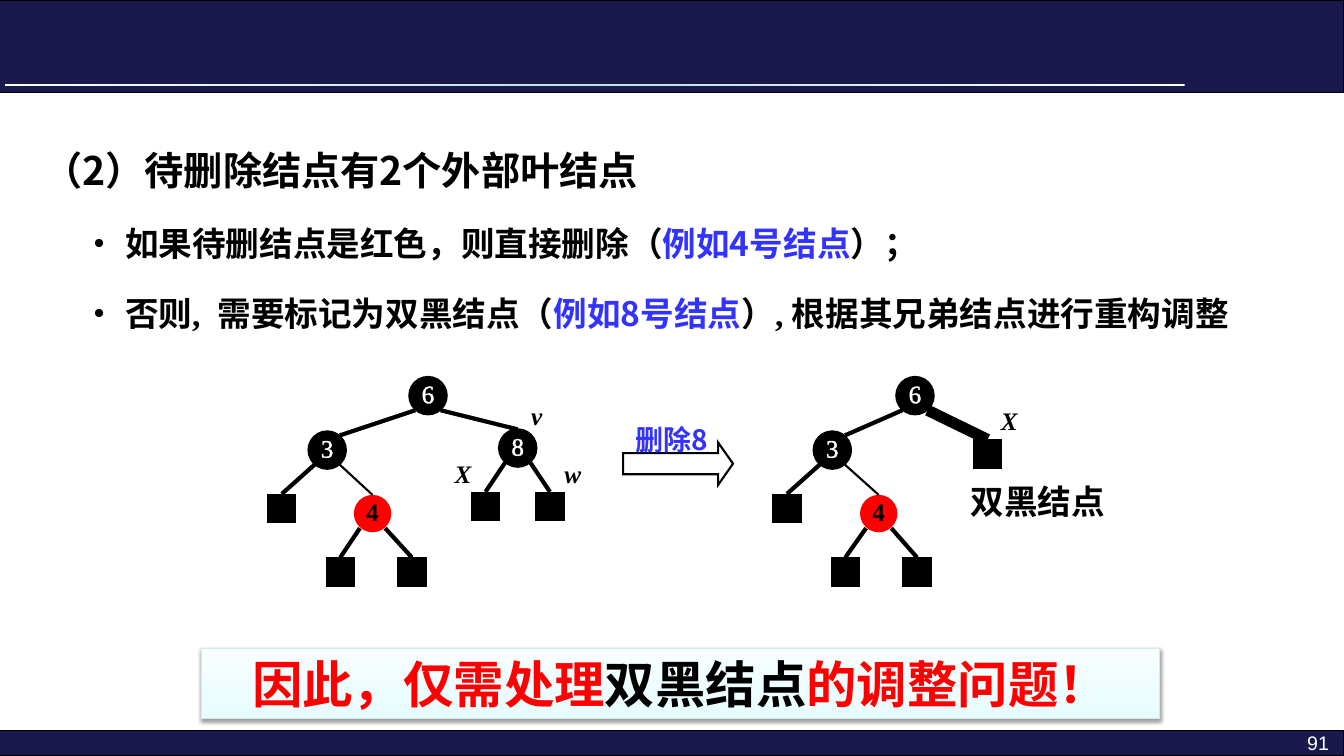
"""Build the slide on deleting a red-black tree node with two external leaves."""
from lxml.etree import SubElement
from pptx import Presentation
from pptx.dml.color import RGBColor
from pptx.enum.shapes import MSO_CONNECTOR, MSO_SHAPE
from pptx.enum.text import MSO_ANCHOR, MSO_AUTO_SIZE, PP_ALIGN
from pptx.oxml import parse_xml
from pptx.oxml.ns import nsdecls, qn
from pptx.util import Inches, Pt

NAVY = RGBColor(0x19, 0x19, 0x4D)
BLACK = RGBColor(0, 0, 0)
WHITE = RGBColor(255, 255, 255)
RED = RGBColor(255, 0, 0)
BLUE = RGBColor(0x33, 0x33, 0xFF)
PALE = RGBColor(0xD5, 0xE8, 0xEA)
RULE_STOPS = [(0, "FFFFFF"), (50, "BBE0E3"), (100, "FFFFFF")]
BANNER_STOPS = [(0, "E6FDFF"), (35, "ECFDFF"), (100, "F8FEFF")]
SANS, SERIF, ARIAL = "Noto Sans CJK SC", "Times New Roman", "Arial"

HEADING = "（2）待删除结点有2个外部叶结点"
BULLETS = [
    [("如果待删结点是红色，则直接删除（", BLACK), ("例如4号结点", BLUE), ("）；", BLACK)],
    [("否则,", BLACK), (" ", BLACK), ("需要标记为双黑结点（", BLACK), ("例如8号结点", BLUE),
     ("）, 根据其兄弟结点进行重构调整", BLACK)],
]
BANNER = [("因此，仅需处理", RED), ("双黑结点", BLACK), ("的调整问题！", RED)]

NODE, LEAF = 0.35, 0.25
LEFT_NODES = {"6": (4.07, 3.75), "3": (3.07, 4.29), "4": (3.52, 4.92), "8": (4.96, 4.27)}
RIGHT_NODES = {"6": (8.9, 3.75), "3": (8.08, 4.29), "4": (8.54, 4.92)}
LEFT_LEAVES = {"3L": (2.67, 4.92), "4L": (3.25, 5.55), "4R": (3.96, 5.55),
               "8L": (4.69, 4.9), "8R": (5.33, 4.9)}
RIGHT_LEAVES = {"3L": (7.68, 4.92), "4L": (8.26, 5.55), "4R": (8.97, 5.55),
                "6R": (9.67, 4.38)}
SHARED_EDGES = [("6", "L", "3", 3), ("3", "L", "3L", 3), ("3", "R", "4", 1.5),
                ("4", "L", "4L", 3), ("4", "R", "4R", 3)]
LEFT_EDGES = [("6", "R", "8", 3), ("8", "L", "8L", 3), ("8", "R", "8R", 3)]
RIGHT_EDGES = [("6", "R", "6R", 8)]
LEFT_MARKS = [("v", 5.17, 3.92, 0.34), ("X", 4.41, 4.5, 0.34), ("w", 5.5, 4.5, 0.42)]
RIGHT_MARKS = [("X", 9.83, 3.97, 0.5)]


def add_run(p, text, size, font, color, bold=False, italic=False, outline=None):
    r = p.add_run()
    r.text = text
    f = r.font
    f.size, f.name, f.bold, f.italic = Pt(size), font, bold, italic
    f.color.rgb = color
    rPr = r._r.get_or_add_rPr()
    SubElement(rPr, qn("a:ea")).set("typeface", SANS)
    if outline:
        rPr.insert(0, parse_xml(
            f'<a:ln {nsdecls("a")} w="{Pt(outline)}"><a:solidFill>'
            f'<a:srgbClr val="{color}"/></a:solidFill></a:ln>'))
    return rPr


def add_box(shapes, kind, x, y, w, h, fill, line, width):
    sp = shapes.add_shape(kind, Inches(x), Inches(y), Inches(w), Inches(h))
    sp.shadow.inherit = False
    if fill is None:
        sp.fill.background()
    elif isinstance(fill, RGBColor):
        sp.fill.solid()
        sp.fill.fore_color.rgb = fill
    if line is None:
        sp.line.fill.background()
    else:
        sp.line.color.rgb = line
        sp.line.width = Pt(width)
        SubElement(sp._element.spPr.find(qn("a:ln")), qn("a:miter")).set("lim", "800000")
    return sp


def set_gradient(sp, stops, angle):
    stops_xml = "".join(f'<a:gs pos="{pos * 1000}"><a:srgbClr val="{color}"/></a:gs>'
                        for pos, color in stops)
    geometry = sp._element.spPr.find(qn("a:prstGeom"))
    geometry.addnext(parse_xml(
        f'<a:gradFill {nsdecls("a")} rotWithShape="1"><a:gsLst>{stops_xml}</a:gsLst>'
        f'<a:lin ang="{angle * 60000}" scaled="0"/></a:gradFill>'))


def add_label(shapes, text, x, y, w, h, size, font, color, align=PP_ALIGN.LEFT,
              wrap=True, bold=True, italic=False):
    tb = shapes.add_textbox(Inches(x), Inches(y), Inches(w), Inches(h))
    tb.text_frame.word_wrap = wrap
    p = tb.text_frame.paragraphs[0]
    p.alignment = align
    add_run(p, text, size, font, color, bold, italic)
    return p


def add_edge(shapes, start, end, width):
    line = shapes.add_connector(MSO_CONNECTOR.STRAIGHT,
                                *(Inches(v) for v in (*start, *end)))
    line.line.color.rgb = BLACK
    line.line.width = Pt(width)
    SubElement(line._element.spPr, qn("a:effectLst"))


def add_tree(shapes, nodes, leaves, edges, marks):
    for label, (x, y) in nodes.items():
        red = label == "4"
        color = RED if red else BLACK
        sp = add_box(shapes, MSO_SHAPE.OVAL, x, y, NODE, NODE, color, color,
                     1.5 if red else 3)
        tf = sp.text_frame
        tf.word_wrap = False
        tf.vertical_anchor = MSO_ANCHOR.MIDDLE
        tf.margin_left = tf.margin_right = tf.margin_top = 0
        tf.margin_bottom = Inches(0.05)
        tf.paragraphs[0].alignment = PP_ALIGN.CENTER
        add_run(tf.paragraphs[0], label, 18, SERIF, BLACK if red else WHITE,
                bold=red, outline=0.71 if red else 1.45)
    for x, y in leaves.values():
        add_box(shapes, MSO_SHAPE.RECTANGLE, x, y, LEAF, LEAF, BLACK, BLACK, 3)
    for parent, side, child, width in edges:
        x, y = nodes[parent]
        start = (x + (0.05 if side == "L" else NODE - 0.05), y + NODE - 0.03)
        if child in leaves:
            cx, cy = leaves[child]
            end = (cx + LEAF / 2, cy - 0.02)
        else:
            cx, cy = nodes[child]
            end = (cx + NODE - 0.05, cy + 0.03) if child == "3" else (cx + NODE / 2, cy - 0.01)
        add_edge(shapes, start, end, width)
    for text, x, y, w in marks:
        add_label(shapes, text, x, y, w, 0.4, 18, SERIF, BLACK, italic=True)


def fill_body(body):
    body.left, body.top, body.width, body.height = map(Inches, (0.33, 1.17, 12.67, 5.83))
    tf = body.text_frame
    tf.auto_size = MSO_AUTO_SIZE.NONE
    p = tf.paragraphs[0]
    pPr = p._p.get_or_add_pPr()
    pPr.set("marL", "0")
    pPr.set("indent", "0")
    SubElement(pPr, qn("a:buNone"))
    p.line_spacing, p.space_before = 1.5, Pt(0)
    add_run(p, HEADING, 28, SANS, BLACK, bold=True)
    for runs in BULLETS:
        p = tf.add_paragraph()
        p.level = 1
        pPr = p._p.get_or_add_pPr()
        pPr.set("marL", str(Inches(0.81)))
        pPr.set("indent", str(Inches(-0.31)))
        SubElement(pPr, qn("a:buSzPct")).set("val", "90000")
        SubElement(pPr, qn("a:buFont")).set("typeface", ARIAL)
        SubElement(pPr, qn("a:buChar")).set("char", "•")
        p.line_spacing, p.space_before = 1.5, Pt(6.5)
        for text, color in runs:
            rPr = add_run(p, text, 24, SANS if color == BLUE else SERIF, color, bold=True)
            if text == " ":
                rPr.set("spc", "600")


def add_banner(shapes):
    sp = add_box(shapes, MSO_SHAPE.RECTANGLE, 2, 6.43, 9.5, 0.7, BANNER_STOPS, PALE, 0.75)
    set_gradient(sp, BANNER_STOPS, 270)
    sp._element.spPr.find(qn("a:effectLst")).append(parse_xml(
        f'<a:outerShdw {nsdecls("a")} blurRad="{Pt(3.1)}" dist="{Pt(1.6)}" dir="5400000" '
        f'rotWithShape="0"><a:srgbClr val="000000"><a:alpha val="38000"/></a:srgbClr>'
        f'</a:outerShdw>'))
    sp.text_frame.vertical_anchor = MSO_ANCHOR.MIDDLE
    p = sp.text_frame.paragraphs[0]
    p.alignment = PP_ALIGN.CENTER
    for text, color in BANNER:
        add_run(p, text, 36, SANS, color, bold=True)


def main():
    prs = Presentation()
    prs.slide_width, prs.slide_height = Inches(13.33), Inches(7.5)
    s = prs.slides.add_slide(prs.slide_layouts[1])
    title = s.shapes.title._element
    title.getparent().remove(title)
    for y, h in ((7.25, 0.25), (0, 0.92)):
        add_box(s.shapes, MSO_SHAPE.RECTANGLE, 0, y, 13.33, h, NAVY, BLACK, 0.75)
    rule = add_box(s.shapes, MSO_SHAPE.RECTANGLE, 0.05, 0.83, 11.7, 0.02, RULE_STOPS, None, 0)
    set_gradient(rule, RULE_STOPS, 0)
    fill_body(s.placeholders[1])
    add_label(s.shapes, "91", 11.28, 7.2, 2, 0.25, 14, ARIAL, WHITE, PP_ALIGN.RIGHT, bold=False)
    add_banner(s.shapes)
    add_tree(s.shapes, LEFT_NODES, LEFT_LEAVES, SHARED_EDGES + LEFT_EDGES, LEFT_MARKS)
    arrow = add_box(s.shapes, MSO_SHAPE.RIGHT_ARROW, 6.18, 4.39, 1.09, 0.42, None, BLACK, 1.5)
    arrow.adjustments[0], arrow.adjustments[1] = 0.5, 0.35
    right_tree = s.shapes.add_group_shape()
    add_tree(right_tree.shapes, RIGHT_NODES, RIGHT_LEAVES, SHARED_EDGES + RIGHT_EDGES, RIGHT_MARKS)
    p = add_label(s.shapes, "删除8", 5.99, 4.11, 1.34, 0.44, 20, SANS, BLUE, PP_ALIGN.CENTER)
    p.line_spacing = 1.1
    add_label(s.shapes, "双黑结点", 9.53, 4.72, 1.55, 0.51, 24, SANS, BLACK, wrap=False)
    prs.save("out.pptx")


if __name__ == "__main__":
    main()
